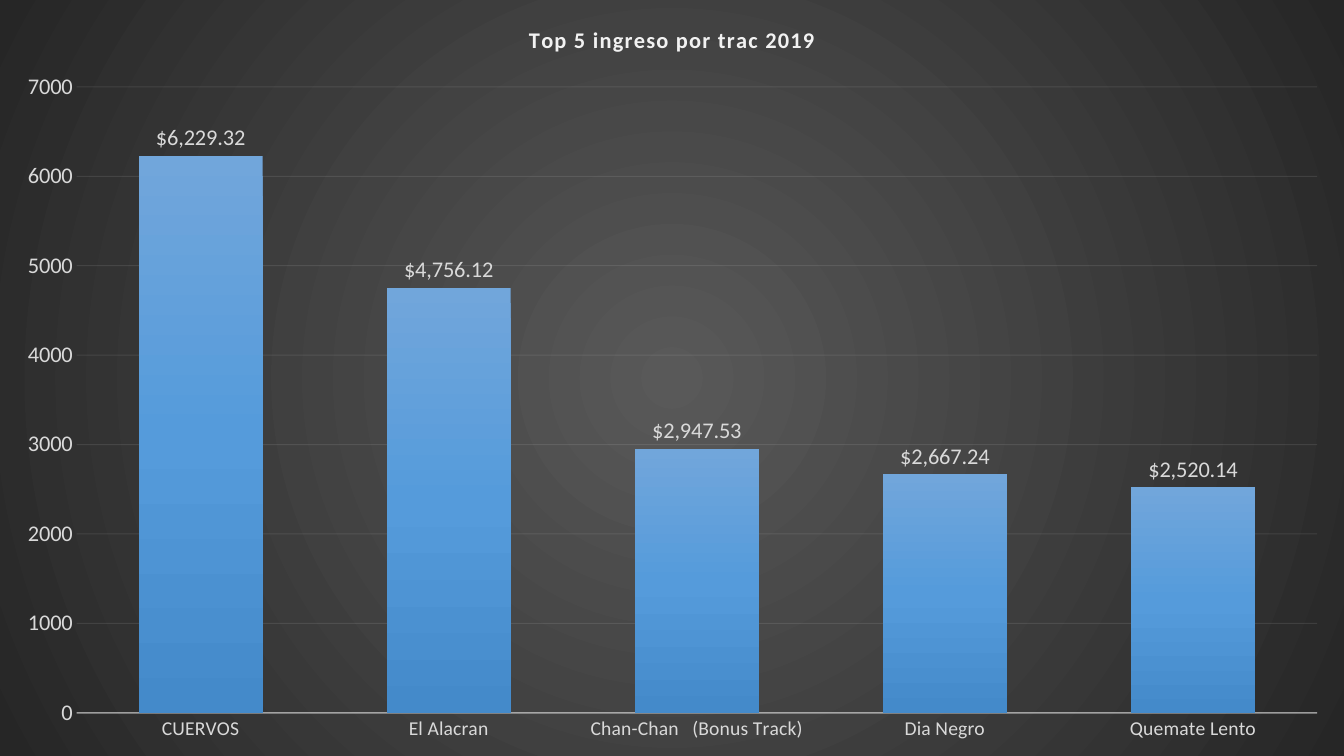
from dataclasses import dataclass

from pptx import Presentation
from pptx import util as u
from pptx.chart.data import CategoryChartData
from pptx.dml.color import RGBColor
from pptx.enum import chart as charts
from pptx.oxml import parse_xml
from pptx.oxml.ns import nsdecls


@dataclass(frozen=True)
class Theme:
    font: str = "Calibri"
    light: str = "F2F2F2"
    label: str = "D9D9D9"
    background: tuple = ((0, "595959"), (100, "262626"))
    bar: tuple = ((0, "71A6DB"), (50, "559BDB"), (100, "448ACA"))
    large: int = 16
    small: int = 14


THEME = Theme()
WIDTH, HEIGHT = u.Pt(960), u.Pt(540)
TITLE = "Top 5 ingreso por trac 2019"
INCOME = {
    "CUERVOS": 6229.32,
    "El Alacran": 4756.12,
    "Chan-Chan   (Bonus Track)": 2947.53,
    "Dia Negro": 2667.24,
    "Quemate Lento": 2520.14,
}
CENTRE_OUT = ('<a:path path="circle"><a:fillToRect l="50000" t="50000" '
              'r="50000" b="50000"/></a:path>')
TOP_DOWN = '<a:lin ang="5400000" scaled="0"/>'


def format_font(font, size, color=THEME.label, bold=False):
    font.name = THEME.font
    font.size = u.Pt(size)
    font.bold = bold
    font.color.rgb = RGBColor.from_string(color)


def write_text(frame, content, spacing=0, **font_format):
    """Fill a text frame with one run; spacing between letters is in points."""
    run = frame.paragraphs[0].add_run()
    run.text = content
    format_font(run.font, **font_format)
    run.font._element.set("spc", str(spacing * 100))


def gradient(stops, direction):
    """Return a gradient fill element."""
    stop_list = "".join(
        f'<a:gs pos="{position * 1000}"><a:srgbClr val="{color}"/></a:gs>'
        for position, color in stops)
    return parse_xml(f'<a:gradFill {nsdecls("a")} rotWithShape="1">'
                     f'<a:gsLst>{stop_list}</a:gsLst>{direction}</a:gradFill>')


def format_line(owner, element, width, opacity):
    """Draw a light line with the given opacity in percent."""
    line = owner.format.line
    line.width = u.Pt(width)
    line.color.rgb = RGBColor.from_string(THEME.light)
    color = element.xpath("./c:spPr/a:ln//a:srgbClr")[0]
    color.append(parse_xml(f'<a:alpha {nsdecls("a")} val="{opacity * 1000}"/>'))


def format_background(chart):
    properties = parse_xml(f'<c:spPr {nsdecls("c", "a")}>'
                           '<a:ln><a:noFill/></a:ln></c:spPr>')
    properties.insert(0, gradient(THEME.background, CENTRE_OUT))
    chart._chartSpace.chart.addnext(properties)


def place_plot(chart, left, top, width, height):
    """Set the inner plot area as fractions of the chart."""
    plot_area = chart._chartSpace.chart.plotArea
    for old_layout in plot_area.xpath("./c:layout"):
        plot_area.remove(old_layout)
    sizes = "".join(f'<c:{name} val="{value}"/>' for name, value in
                    (("x", left), ("y", top), ("w", width), ("h", height)))
    plot_area.insert(0, parse_xml(
        f'<c:layout {nsdecls("c")}><c:manualLayout>'
        '<c:layoutTarget val="inner"/><c:xMode val="edge"/><c:yMode val="edge"/>'
        f'{sizes}</c:manualLayout></c:layout>'))


def format_axes(chart):
    songs, amounts = chart.category_axis, chart.value_axis
    for axis, size in ((songs, THEME.small), (amounts, THEME.large)):
        axis.major_tick_mark = axis.minor_tick_mark = charts.XL_TICK_MARK.NONE
        format_font(axis.tick_labels.font, size)
    format_line(songs, songs._element, width=1, opacity=54)

    amounts.minimum_scale, amounts.maximum_scale = 0, 7000
    amounts.major_unit = 1000
    amounts.tick_labels.number_format = "General"
    amounts.tick_labels.number_format_is_linked = False
    amounts.format.line.fill.background()
    amounts.has_major_gridlines = True
    grid = amounts._element.xpath("./c:majorGridlines")[0]
    format_line(amounts.major_gridlines, grid, width=0.75, opacity=10)


def format_bars(plot):
    plot.gap_width = 100
    plot.overlap = -24
    plot.vary_by_categories = False
    series = plot.series[0]
    series.invert_if_negative = False
    series.format.line.fill.background()
    series._element.xpath("./c:spPr")[0].insert(0, gradient(THEME.bar, TOP_DOWN))

    labels = series.data_labels
    labels.show_value = True
    labels.position = charts.XL_LABEL_POSITION.OUTSIDE_END
    labels.number_format = '"$"#,##0.00'
    labels.number_format_is_linked = False
    format_font(labels.font, THEME.large)


def add_income_chart(slide):
    data = CategoryChartData()
    data.categories = list(INCOME)
    data.add_series("Series 1", list(INCOME.values()))
    chart = slide.shapes.add_chart(
        charts.XL_CHART_TYPE.COLUMN_CLUSTERED, 0, 0, WIDTH, HEIGHT, data).chart
    chart.has_legend = False
    chart.has_title = True
    write_text(chart.chart_title.text_frame, TITLE, spacing=1,
               size=THEME.large, color=THEME.light, bold=True)
    chart.chart_title.include_in_layout = False
    format_font(chart.font, THEME.small)
    format_background(chart)
    place_plot(chart, left=0.057, top=0.115, width=0.923, height=0.828)
    format_axes(chart)
    format_bars(chart.plots[0])


def main():
    presentation = Presentation()
    presentation.slide_width, presentation.slide_height = WIDTH, HEIGHT
    blank = presentation.slide_layouts.get_by_name("Blank")
    add_income_chart(presentation.slides.add_slide(blank))
    presentation.save("out.pptx")


if __name__ == "__main__":
    main()
